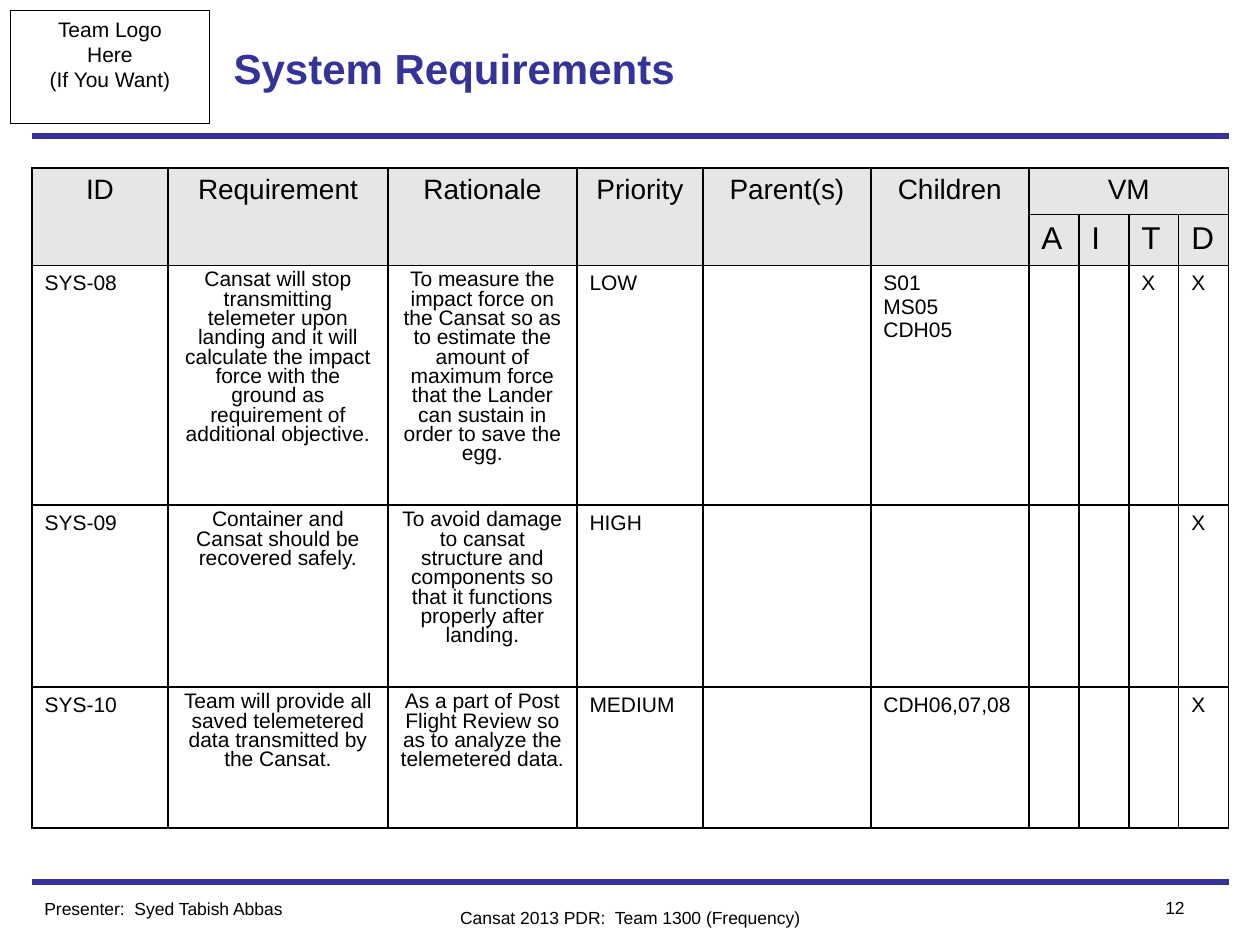
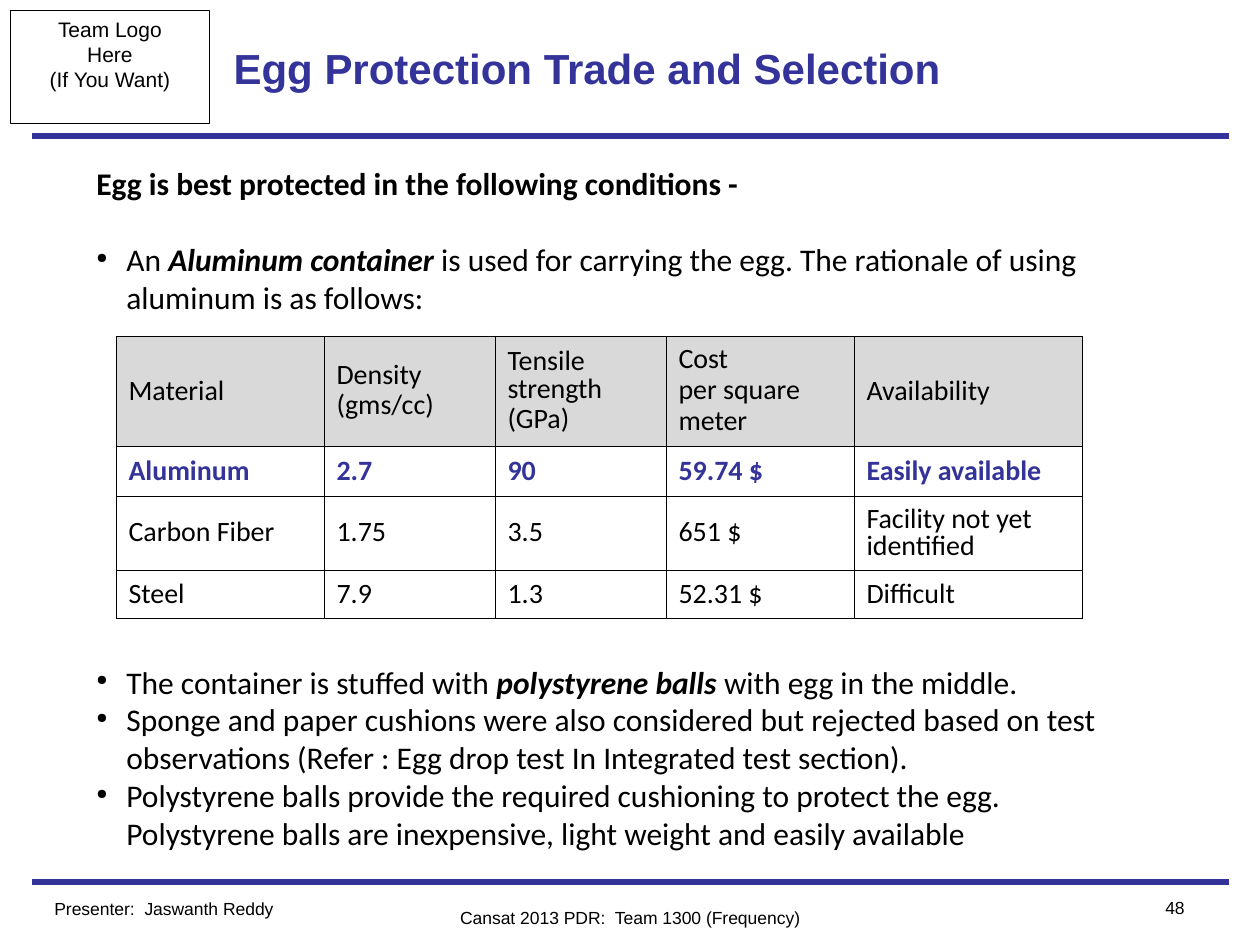
import lxml.etree
import pptx
import pptx.dml.color
import pptx.enum.shapes
import pptx.enum.text
import pptx.oxml.ns
import pptx.util

EMU_PER_PX = 914400 / 126
NAVY, BLACK = "333399", "000000"
HEADER_GREY, MATERIAL_GREY = "E6E6E6", "D9D9D9"
ALIGN = pptx.enum.text.PP_ALIGN
MIDDLE = pptx.enum.text.MSO_ANCHOR.MIDDLE
TITLE_ONLY = 5
LINE_18PT = 22  # points taken by one line of 18 pt body text

LOGO_BOX = (10, 10, 200, 114)
TITLE_BOX = (221, 10, 819, 116)
RULE_LEFT, RULE_RIGHT, RULE_TOPS = 32, 1229, (882, 136)
TEAM_BOX = (378, 901, 504, 34)
NUMBER_BOX = (1103, 891, 94, 34)
PRESENTER_TOP, PRESENTER_SIZE = 892, (315, 34)


def px(length):
    return pptx.util.Emu(round(length * EMU_PER_PX))


def color(value):
    return pptx.dml.color.RGBColor.from_string(value)


def add_element(parent, tag, **attributes):
    name = pptx.oxml.ns.qn(tag)
    return lxml.etree.SubElement(parent, name, attributes)


def add_span(para, text, size, font="Arial", ink=BLACK, bold=False, italic=False):
    span = para.add_run()
    span.text = text
    span.font.size = pptx.util.Pt(size)
    span.font.name = font
    span.font.bold = bold
    span.font.italic = italic
    span.font.color.rgb = color(ink)


def add_paras(frame, lines, align=ALIGN.LEFT, spacings=(), **style):
    """Write one paragraph for each line, with optional line spacings."""
    for index, line in enumerate(lines):
        para = frame.paragraphs[0] if index == 0 else frame.add_paragraph()
        para.alignment = align
        if index < len(spacings):
            para.line_spacing = spacings[index]
        add_span(para, line, **style)


def add_text(page, box, lines, **style):
    frame = page.shapes.add_textbox(*map(px, box)).text_frame
    frame.word_wrap = True
    add_paras(frame, lines, **style)


def add_rule(page, top):
    ends = map(px, (RULE_LEFT, top, RULE_RIGHT, top))
    rule = page.shapes.add_connector(
        pptx.enum.shapes.MSO_CONNECTOR.STRAIGHT, *ends)
    rule.line.color.rgb = color(NAVY)
    rule.line.width = pptx.util.Pt(3)
    add_element(rule._element.spPr, "a:effectLst")


def add_logo_box(page, box):
    shape = page.shapes.add_shape(
        pptx.enum.shapes.MSO_SHAPE.RECTANGLE, *map(px, box))
    shape.shadow.inherit = False
    shape.fill.background()
    shape.line.color.rgb = color(BLACK)
    shape.line.width = pptx.util.Pt(0.5)
    frame = shape.text_frame
    frame.word_wrap = False
    frame.vertical_anchor = pptx.enum.text.MSO_ANCHOR.TOP
    add_paras(frame, ["Team Logo", "Here", "(If You Want)"],
              align=ALIGN.CENTER, size=12)


def set_title(page, box, text):
    title = page.shapes.title
    title.left, title.top, title.width, title.height = map(px, box)
    frame = title.text_frame
    frame.word_wrap = True
    frame.auto_size = pptx.enum.text.MSO_AUTO_SIZE.NONE
    frame.vertical_anchor = MIDDLE
    add_paras(frame, [text], size=24, ink=NAVY, bold=True)


def add_page(deck, title, number, presenter, presenter_left):
    """Add a slide with the shared rules, logo box, title and footer."""
    page = deck.slides.add_slide(deck.slide_layouts[TITLE_ONLY])
    for top in RULE_TOPS:
        add_rule(page, top)
    add_logo_box(page, LOGO_BOX)
    set_title(page, TITLE_BOX, title)
    add_text(page, NUMBER_BOX, [str(number)], align=ALIGN.RIGHT, size=10)
    add_text(page, TEAM_BOX, ["Cansat 2013 PDR:  Team 1300 (Frequency)"],
             align=ALIGN.CENTER, size=10)
    add_text(page, (presenter_left, PRESENTER_TOP, *PRESENTER_SIZE),
             [f"Presenter:  {presenter}"], size=10)
    return page


def add_grid(page, corner, widths, heights, border, header_rows, header_fill):
    """Add an empty table with black borders and filled header rows."""
    box = (*corner, sum(widths), sum(heights))
    table = page.shapes.add_table(
        len(heights), len(widths), *map(px, box)).table
    table.first_row = table.horz_banding = False
    for column, width in zip(table.columns, widths):
        column.width = px(width)
    for index, (row, height) in enumerate(zip(table.rows, heights)):
        row.height = px(height)
        for cell in row.cells:
            add_borders(cell, border)
            if index < header_rows:
                cell.fill.solid()
                cell.fill.fore_color.rgb = color(header_fill)
            else:
                cell.fill.background()
    return table


def add_borders(cell, points):
    properties = cell._tc.get_or_add_tcPr()
    for side in ("a:lnL", "a:lnR", "a:lnT", "a:lnB"):
        line = add_element(properties, side, w=str(pptx.util.Pt(points)))
        add_element(add_element(line, "a:solidFill"), "a:srgbClr", val=BLACK)


def add_requirements_table(page, corner):
    headings = ["ID", "Requirement", "Rationale", "Priority", "Parent(s)",
                "Children", "VM"]
    methods = "AITD"
    requirements = [
        ("SYS-08",
         "Cansat will stop transmitting telemeter upon landing and it will "
         "calculate the impact force with the ground as requirement of "
         "additional objective.",
         "To measure the impact force on the Cansat so as to estimate the "
         "amount of maximum force that the Lander can sustain in order to "
         "save the egg.",
         "LOW", ["S01", "MS05", "CDH05"], "TD"),
        ("SYS-09", "Container and Cansat should be recovered safely.",
         "To avoid damage to cansat structure and components so that it "
         "functions properly after landing.",
         "HIGH", [], "D"),
        ("SYS-10",
         "Team will provide all saved telemetered data transmitted by the "
         "Cansat.",
         "As a part of Post Flight Review so as to analyze the telemetered "
         "data.",
         "MEDIUM", ["CDH06,07,08"], "D"),
    ]
    table = add_grid(page, corner, [136, 220, 189, 126, 168, 158] + [50] * 4,
                     [46, 51, 240, 182, 141], 1, 2, HEADER_GREY)
    first_method = len(headings) - 1
    for column, heading in enumerate(headings):
        cell = table.cell(0, column)
        if column < first_method:
            cell.merge(table.cell(1, column))
        else:
            cell.merge(table.cell(0, column + len(methods) - 1))
        add_paras(cell.text_frame, [heading], align=ALIGN.CENTER, size=16)
    for column, method in enumerate(methods, first_method):
        add_paras(table.cell(1, column).text_frame, [method], size=18)

    for row, requirement in enumerate(requirements, 2):
        name, need, reason, priority, children, verified = requirement
        marks = [["X"] if method in verified else [] for method in methods]
        entries = [[name], [need], [reason], [priority], [], children, *marks]
        for column, lines in enumerate(entries):
            frame = table.cell(row, column).text_frame
            if column in (1, 2):
                add_paras(frame, lines, align=ALIGN.CENTER, spacings=[0.82],
                          size=12)
            else:
                add_paras(frame, lines, size=12)


def add_materials_table(page, corner):
    rows = [
        ["Material", "Density\n(gms/cc)", "Tensile strength\n(GPa)",
         "Cost\nper square meter", "Availability"],
        ["Aluminum", "2.7", "90", "59.74 $", "Easily available"],
        ["Carbon Fiber", "1.75", "3.5", "651 $", "Facility not yet identified"],
        ["Steel", "7.9", "1.3", "52.31 $", "Difficult"],
    ]
    table = add_grid(page, corner, [208, 171, 171, 188, 228],
                     [110, 50, 74, 49], 0.45, 1, MATERIAL_GREY)
    for row, entries in enumerate(rows):
        chosen = entries[0] == "Aluminum"
        for column, entry in enumerate(entries):
            cell = table.cell(row, column)
            cell.vertical_anchor = MIDDLE
            cell.margin_top = px(8)
            add_paras(cell.text_frame, entry.split("\n"), spacings=[0.8, 0.91],
                      size=16, font="Calibri", bold=chosen,
                      ink=NAVY if chosen else BLACK)


def add_bullet(para, indent):
    properties = para._p.get_or_add_pPr()
    properties.set("marL", str(px(indent)))
    properties.set("indent", str(-px(indent)))
    add_element(properties, "a:buSzPct", val="45000")
    add_element(properties, "a:buChar", char="●")


def add_conditions(page, box):
    """Write the bullets, leaving room for the table after the first one."""
    bullets = [
        (1, ["An ", "Aluminum container", " is used for carrying the egg. The "
             "rationale of using aluminum is as follows:"]),
        (9, ["The container is stuffed with", " polystyrene balls ",
             "with egg in the middle."]),
        (0, ["Sponge and paper cushions were also considered but rejected "
             "based on test observations (Refer : Egg drop test In "
             "Integrated test section)."]),
        (0, ["Polystyrene balls provide the required cushioning to protect "
             "the egg. Polystyrene balls are inexpensive, light weight and "
             "easily available"]),
    ]
    frame = page.shapes.add_textbox(*map(px, box)).text_frame
    frame.word_wrap = True
    add_paras(frame, ["Egg is best protected in the following conditions -"],
              size=18, font="Calibri", bold=True)
    for lines_before, parts in bullets:
        para = frame.add_paragraph()
        add_bullet(para, 30)
        para.space_before = pptx.util.Pt(lines_before * LINE_18PT)
        for index, part in enumerate(parts):
            stressed = index == 1
            add_span(para, part, 18, "Calibri", bold=stressed, italic=stressed)


def main():
    deck = pptx.Presentation()
    deck.slide_width, deck.slide_height = px(1260), px(945)

    page = add_page(deck, "System Requirements", 12, "Syed Tabish Abbas", 32)
    add_requirements_table(page, (32, 168))

    page = add_page(deck, "Egg Protection Trade and Selection", 48,
                    "Jaswanth Reddy", 42)
    add_conditions(page, (84, 158, 1081, 700))
    add_materials_table(page, (116, 336))

    deck.save("out.pptx")


if __name__ == "__main__":
    main()
